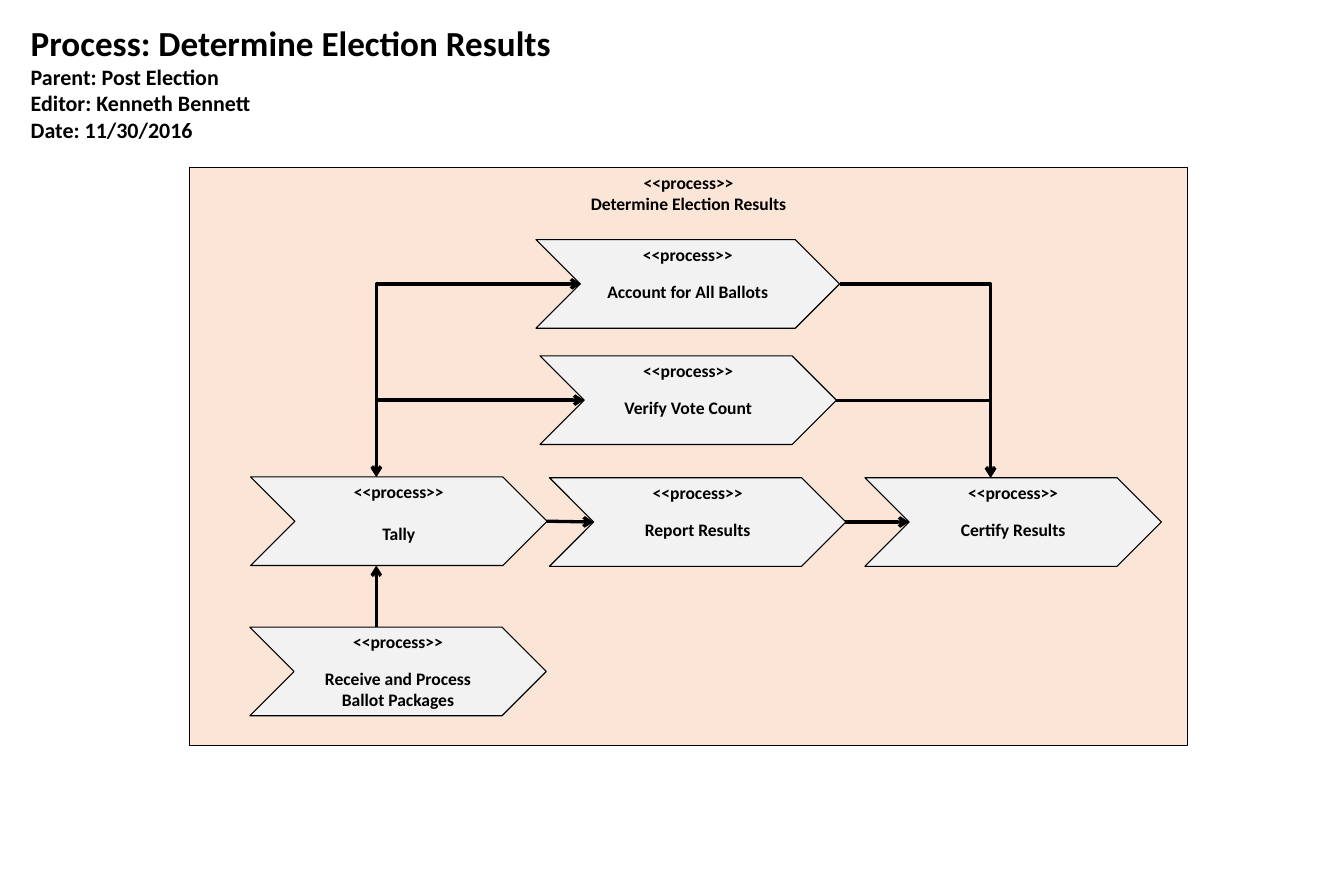
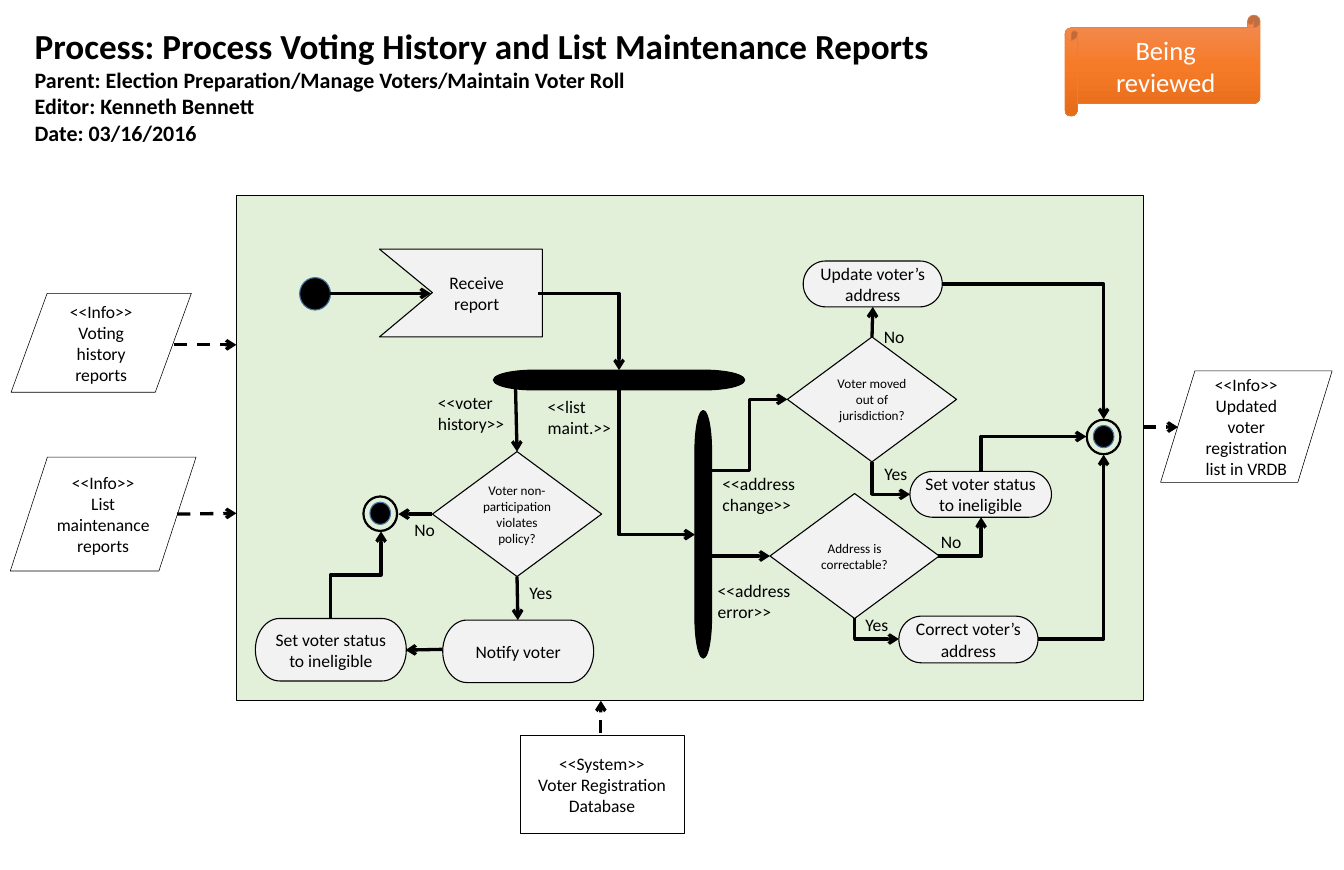
from copy import deepcopy

from lxml.etree import SubElement
from pptx import Presentation
from pptx.dml.color import RGBColor
from pptx.enum.dml import MSO_LINE
from pptx.enum.shapes import MSO_CONNECTOR as LINK, MSO_SHAPE as SHAPE
from pptx.enum.text import MSO_ANCHOR as ANCHOR, PP_ALIGN as ALIGN
from pptx.oxml.ns import qn
from pptx.util import Inches, Pt

FONT = "Calibri"
BLACK, WHITE, GRAY = "000000", "FFFFFF", "F2F2F2"
PEACH, GREEN, BLUE, ORANGE = "FBE5D6", "E2F0D9", "43739E", "ED7D31"
SCROLL = [(0, "F18C57"), (0.5, "F67B28"), (1, "E56C19")]

# Connection sites of four-sided shapes, and of round ones
TOP, LEFT, BOTTOM, RIGHT = range(4)
ROUND_LEFT, ROUND_BOTTOM = 2, 4


def rgb(color):
    return RGBColor.from_string(color)


def write(shape, text, size=16, bold=False, color=BLACK, align=ALIGN.CENTER,
          anchor=ANCHOR.MIDDLE):
    frame = shape.text_frame
    frame.word_wrap = True
    frame.vertical_anchor = anchor
    frame.text = text
    for para in frame.paragraphs:
        para.alignment = align
        for run in para.runs:
            font = run.font
            font.name, font.size, font.bold = FONT, Pt(size), bold
            font.color.rgb = rgb(color)
    return frame


def paint(shape, fill, line=BLACK, width=1):
    shape.shadow.inherit = False
    if fill:
        shape.fill.solid()
        shape.fill.fore_color.rgb = rgb(fill)
    else:
        shape.fill.background()
    shape.line.color.rgb = rgb(line)
    shape.line.width = Pt(width)


def draw(slide, kind, box, fill=GRAY, text="", size=16, line=BLACK, width=1):
    shape = slide.shapes.add_shape(kind, *map(Inches, box))
    paint(shape, fill, line, width)
    if text:
        write(shape, text, size)
    return shape


def label(slide, box, text, align=ALIGN.LEFT):
    shape = slide.shapes.add_textbox(*map(Inches, box))
    return write(shape, text, align=align, anchor=ANCHOR.TOP)


def header(slide, left, top, title, parent, date):
    text = f"Process: {title}\nParent: {parent}\nEditor: Kenneth Bennett\nDate: {date}"
    shape = slide.shapes.add_textbox(*map(Inches, (left, top, 15, 1.65)))
    frame = write(shape, text, 20, True, align=ALIGN.LEFT, anchor=ANCHOR.TOP)
    frame.paragraphs[0].runs[0].font.size = Pt(32)


def process(slide, left, top, name, width=3.75, gap=14.6):
    shape = draw(slide, SHAPE.CHEVRON, (left, top, width, 1.12))
    frame = write(shape, f"<<process>>\n{name}", bold=True, anchor=ANCHOR.TOP)
    frame.paragraphs[1].space_before = Pt(gap)
    return shape


def finish(slide, left, top):
    """Draw the ringed dot that ends a flow."""
    ring = draw(slide, SHAPE.DONUT, (left, top, 0.44, 0.45), BLACK)
    ring.adjustments[0] = 0.032
    draw(slide, SHAPE.FLOWCHART_CONNECTOR,
         (left + 0.09, top + 0.08, 0.26, 0.28), BLACK, line=BLUE)
    return ring


def ink(link, dash=False, both=False):
    """Style a connector and give it its arrowheads."""
    link.line.color.rgb = rgb(BLACK)
    link.line.width = Pt(3)
    if dash:
        link.line.dash_style = MSO_LINE.DASH
    props = link.element.spPr
    line = props.find(qn("a:ln"))
    for end in ("a:headEnd", "a:tailEnd") if both else ("a:tailEnd",):
        SubElement(line, qn(end)).set("type", "arrow")
    SubElement(props, qn("a:effectLst"))


def arrow(slide, x1, y1, x2, y2, dash=False):
    ends = map(Inches, (x1, y1, x2, y2))
    ink(slide.shapes.add_connector(LINK.STRAIGHT, *ends), dash)


def bend(slide, ends, start=None, stop=None, steep=False, turns=1, both=False):
    """Draw an elbow arrow; a steep one leaves vertically and goes right."""
    x1, y1, x2, y2 = ends
    turn = 0
    if steep:
        rise = y2 < y1
        turn = 90 if rise else 270
        midx, midy = (x1 + x2) / 2, (y1 + y2) / 2
        half, tall = abs(y2 - y1) / 2, (x2 - x1) / 2
        if rise:
            tall = -tall
        x1, x2 = midx + half, midx - half
        y1, y2 = midy - tall, midy + tall
    spots = [Inches(n) for n in (x1, y1, x2, y2)]
    link = slide.shapes.add_connector(LINK.ELBOW, *spots)
    if start:
        link.begin_connect(*start)
    if stop:
        shape, site = stop
        link.end_connect(shape, TOP)  # accepts four sites only
        link.element.find(".//" + qn("a:endCxn")).set("idx", str(site))
    link.begin_x, link.begin_y, link.end_x, link.end_y = spots
    props = link.element.spPr
    props.find(qn("a:prstGeom")).set("prst", f"bentConnector{turns + 1}")
    if turn:
        props.find(qn("a:xfrm")).set("rot", str(turn * 60000))
    ink(link, both=both)


def results(slide):
    header(slide, 0.29, 0.22, "Determine Election Results", "Post Election",
           "11/30/2016")
    panel = draw(slide, SHAPE.RECTANGLE, (2.4, 2.12, 12.62, 7.31), PEACH)
    write(panel, "<<process>>\nDetermine Election Results", bold=True,
          anchor=ANCHOR.TOP)
    tally = process(slide, 3.17, 6.03, "Tally", gap=19.5)
    verify = process(slide, 6.83, 4.5, "Verify Vote Count")
    certify = process(slide, 10.94, 6.04, "Certify Results")
    process(slide, 6.95, 6.04, "Report Results")
    process(slide, 3.16, 7.93, "Receive and Process Ballot Packages")
    account = process(slide, 6.78, 3.03, "Account for All Ballots", 3.84)

    arrow(slide, 10.69, 6.6, 11.5, 6.6)
    arrow(slide, 6.91, 6.59, 7.51, 6.6)
    arrow(slide, 4.76, 7.93, 4.76, 7.15)
    for step, left, right, y in ((account, 7.35, 10.63, 3.59),
                                 (verify, 7.39, 10.58, 5.06)):
        bend(slide, (4.76, 6.03, left, y), (tally, TOP), (step, LEFT),
             steep=True, both=True)
        bend(slide, (right, y, 12.53, 6.04), (step, RIGHT), (certify, TOP))


def receive(slide):
    """Draw the notched box that takes in a report."""
    points = [(6.86, 3.15), (6.86, 4.26), (4.8, 4.26), (5.47, 3.7)]
    maker = slide.shapes.build_freeform(Inches(4.8), Inches(3.15))
    maker.add_line_segments([(Inches(x), Inches(y)) for x, y in points])
    shape = maker.convert_to_shape()
    paint(shape, GRAY)
    write(shape, "Receive\nreport").margin_left = Inches(0.5)


def scroll(slide):
    shape = draw(slide, SHAPE.HORIZONTAL_SCROLL, (13.47, 0.19, 2.47, 1.28),
                 line=ORANGE, width=0.5)
    write(shape, "Being reviewed", 24.2, color=WHITE)
    shape.fill.gradient()
    shape.fill.gradient_angle = 270
    stops = shape.element.spPr.find(".//" + qn("a:gsLst"))
    stops.insert(1, deepcopy(stops[0]))
    for stop, (place, color) in zip(shape.fill.gradient_stops, SCROLL):
        stop.position = place
        stop.color.rgb = rgb(color)


def history(slide):
    header(slide, 0.34, 0.26, "Process Voting History and List Maintenance Reports",
           "Election Preparation/Manage Voters/Maintain Voter Roll", "03/16/2016")
    scroll(slide)
    draw(slide, SHAPE.RECTANGLE, (2.99, 2.47, 11.47, 6.39), GREEN)

    for box, text in (
        ((0.14, 3.71, 2.28, 1.25), "Voting history reports"),
        ((0.13, 5.78, 2.35, 1.44), "List maintenance reports"),
        ((14.68, 4.69, 2.17, 1.41), "Updated voter registration list in VRDB"),
    ):
        draw(slide, SHAPE.FLOWCHART_DATA, box, None, f"<<Info>>\n{text}", width=0.5)
    draw(slide, SHAPE.FLOWCHART_PROCESS, (6.58, 9.3, 2.07, 1.23), None,
         "<<System>>\nVoter Registration Database", width=0.5)

    draw(slide, SHAPE.FLOWCHART_CONNECTOR, (3.79, 3.51, 0.39, 0.41), BLACK, line=BLUE)
    receive(slide)
    done, over = finish(slide, 13.74, 5.3), finish(slide, 4.59, 6.27)

    fork = draw(slide, SHAPE.FLOWCHART_TERMINATOR, (6.24, 4.68, 3.18, 0.25), BLACK)
    split = draw(slide, SHAPE.FLOWCHART_TERMINATOR, (7.33, 6.65, 3.13, 0.21), BLACK)
    split.rotation = 270

    status = "Set voter status to ineligible"
    lapse, bar, fix, update, _ = [
        draw(slide, SHAPE.FLOWCHART_TERMINATOR, box, text=text)
        for box, text in (
            ((3.23, 7.82, 1.91, 0.79), status),
            ((11.51, 5.96, 1.79, 0.58), status),
            ((11.37, 7.79, 1.76, 0.59), "Correct voter’s address"),
            ((10.16, 3.3, 1.76, 0.58), "Update voter’s address"),
            ((5.6, 7.84, 1.91, 0.79), "Notify voter"),
        )
    ]
    _, moved, valid = [
        draw(slide, SHAPE.FLOWCHART_DECISION, (x, y, 2.14, 1.58), text=text, size=12)
        for x, y, text in (
            (5.47, 5.71, "Voter non-participation violates policy?"),
            (9.96, 4.26, "Voter moved out of jurisdiction?"),
            (9.74, 6.24, "Address is correctable?"),
        )
    ]

    for ends in ((2.2, 4.36, 2.99, 4.36), (2.24, 6.5, 2.99, 6.49),
                 (14.46, 5.4, 14.9, 5.4), (7.6, 9.27, 7.6, 8.86)):
        arrow(slide, *ends, dash=True)
    for ends in ((4.18, 3.71, 5.45, 3.71), (6.52, 4.86, 6.54, 5.71),
                 (5.6, 8.21, 5.13, 8.22), (5.47, 6.5, 5.04, 6.5),
                 (8.92, 7.03, 9.74, 7.03), (11.03, 4.26, 11.04, 3.88),
                 (6.54, 7.29, 6.55, 7.84)):
        arrow(slide, *ends)

    bend(slide, (6.81, 3.71, 7.83, 4.68), stop=(fork, TOP))
    bend(slide, (7.83, 4.93, 8.79, 6.76), (fork, BOTTOM), (split, TOP), steep=True)
    bend(slide, (9.01, 5.95, 9.96, 5.05), stop=(moved, LEFT), turns=2)
    bend(slide, (4.18, 7.82, 4.82, 6.72), (lapse, TOP), (over, ROUND_BOTTOM),
         steep=True, turns=2)
    bend(slide, (11.92, 3.59, 13.96, 5.3), (update, RIGHT), (done, TOP))
    bend(slide, (13.13, 8.08, 13.96, 5.75), (fix, RIGHT), (done, ROUND_BOTTOM))
    bend(slide, (12.41, 5.96, 13.74, 5.52), (bar, TOP), (done, ROUND_LEFT), steep=True)
    bend(slide, (11.03, 5.84, 11.51, 6.25), (moved, BOTTOM), (bar, LEFT), steep=True)
    bend(slide, (11.87, 7.03, 12.41, 6.54), (valid, RIGHT), (bar, BOTTOM))
    bend(slide, (10.81, 7.82, 11.37, 8.08), (valid, BOTTOM), (fix, LEFT), steep=True)

    for x, y, text in ((6.5, 7.31, "Yes"), (5.03, 6.51, "No"), (10.97, 4.07, "No"),
                       (10.99, 5.8, "Yes"), (11.69, 6.66, "No"), (10.75, 7.71, "Yes")):
        label(slide, (x, y, 0.68, 0.37), text, ALIGN.CENTER)
    for x, y, width, text in ((5.44, 4.91, 1.12, "<<voter history>>"),
                              (6.83, 4.96, 1.18, "<<list maint.>>"),
                              (9.04, 5.93, 1.18, "<<address change>>"),
                              (8.98, 7.28, 1.18, "<<address error>>")):
        label(slide, (x, y, width, 0.64), text)


def main():
    deck = Presentation()
    deck.slide_width, deck.slide_height = Inches(17), Inches(11)
    for build in (results, history):
        build(deck.slides.add_slide(deck.slide_layouts[6]))
    deck.save("out.pptx")


if __name__ == "__main__":
    main()
